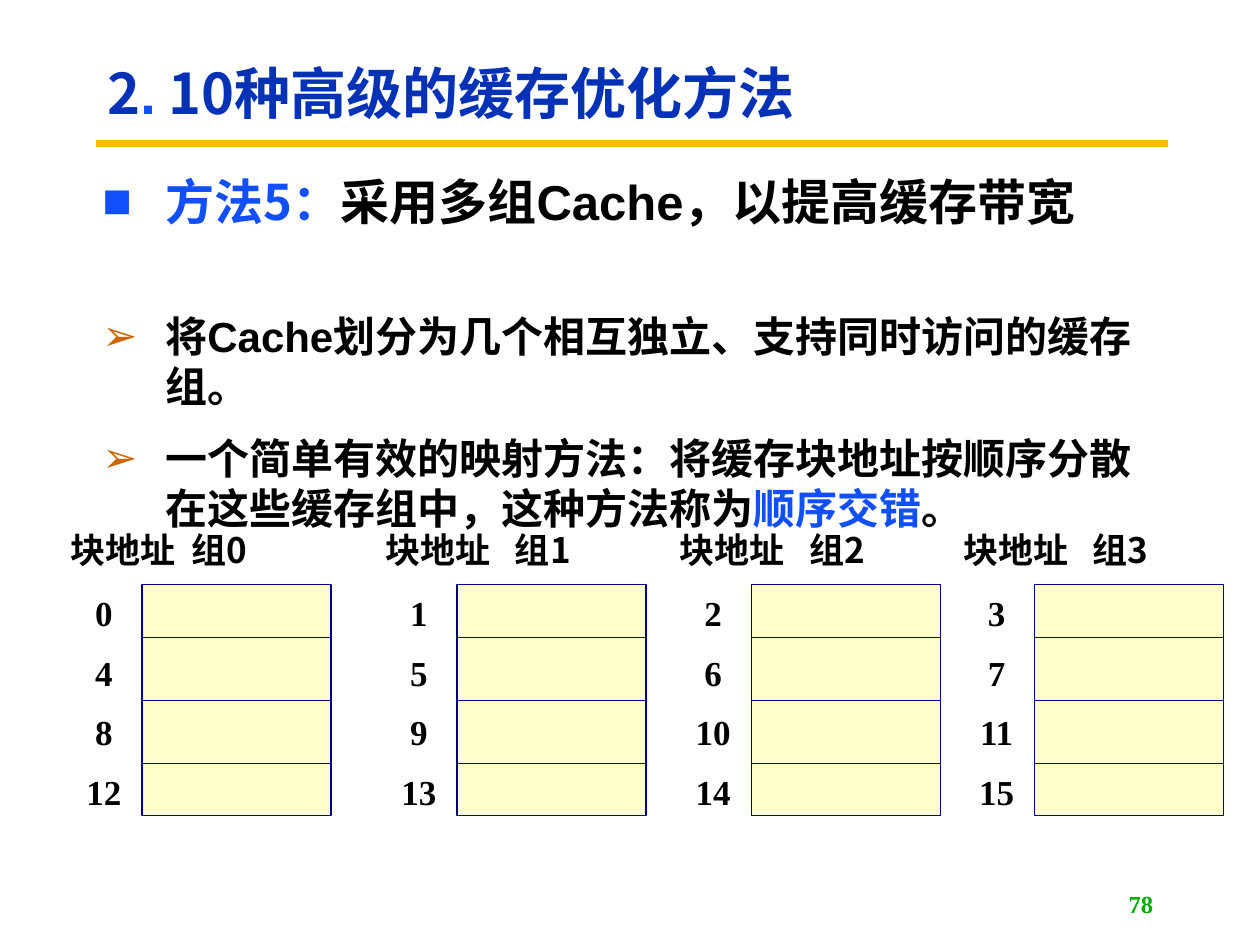
"""Build the slide on interleaved multi-bank caches."""
from typing import NamedTuple

from lxml.etree import SubElement
from pptx import Presentation
from pptx.dml.color import RGBColor
from pptx.enum.shapes import MSO_CONNECTOR as Connector
from pptx.enum.shapes import MSO_SHAPE as Preset
from pptx.enum.text import MSO_ANCHOR as Anchor
from pptx.enum.text import PP_ALIGN as Align
from pptx.oxml.ns import qn
from pptx.util import Pt

CJK, ARIAL, TIMES = "Noto Sans CJK SC", "Arial", "Times New Roman"
BLACK, BLUE, DARK_BLUE = "000000", "114FFB", "0332B7"
NAVY, CREAM, GOLD, ORANGE, GREEN = "000084", "FFFFCC", "FBBA03", "CC6600", "00AE00"
BANK_TOP, BANK_WIDTH, BANK_HEIGHT = 334.2, 108, 131.8
FIRST_ROW, ROW_HEIGHT, ROWS = 30, 36, 4


class Span(NamedTuple):
    text: str
    font: str = CJK
    color: str = BLACK


class Bullet(NamedTuple):
    mark: str
    color: str
    size: float
    space_before: float
    spans: list[Span]


class Bank(NamedTuple):
    number: int
    left: float
    tab: float


BULLETS = [
    Bullet("■", BLUE, 28, 0, [
        Span("方法5：", color=BLUE), Span("采用多组"),
        Span("Cache，", ARIAL), Span("以提高缓存带宽")]),
    Bullet("➢", ORANGE, 24, 46, [
        Span("将"), Span("Cache划分为几个相互独立、支持同时访问的缓存组。", ARIAL)]),
    Bullet("➢", ORANGE, 24, 12, [
        Span("一个简单有效的映射方法：将缓存块地址按顺序分散在这些缓存组中，这种方法称为"),
        Span("顺序交错", color=BLUE), Span("。")]),
]
BANKS = [Bank(0, 81.2, 69.4), Bank(1, 261.2, 74), Bank(2, 429.3, 74), Bank(3, 591.3, 74)]


def rgb(color: str) -> RGBColor:
    """Turn a hex string into a colour."""
    return RGBColor.from_string(color)


def add_text_box(slide, left: float, top: float, width: float, height: float):
    """Add a wrapping text box and return its text frame."""
    text_frame = slide.shapes.add_textbox(Pt(left), Pt(top), Pt(width), Pt(height)).text_frame
    text_frame.word_wrap = True
    return text_frame


def add_span(paragraph, span: Span, size: float) -> None:
    """Append a bold run with its Latin and East Asian fonts."""
    run = paragraph.add_run()
    run.text = span.text
    run.font.size, run.font.bold, run.font.name = Pt(size), True, span.font
    run.font.color.rgb = rgb(span.color)
    SubElement(run.font._element, qn("a:ea"), typeface=CJK)


def add_line(slide, left: float, right: float, y: float, color: str, width: float) -> None:
    """Draw a horizontal line without a shadow."""
    line = slide.shapes.add_connector(Connector.STRAIGHT, Pt(left), Pt(y), Pt(right), Pt(y))
    line.line.color.rgb = rgb(color)
    line.line.width = Pt(width)
    SubElement(line._element.spPr, qn("a:effectLst"))


def add_title(slide) -> None:
    """Write the heading above its gold rule."""
    add_line(slide, 54.7, 667.2, 82, GOLD, 3.75)
    text_frame = add_text_box(slide, 54.2, 26, 574.6, 58.3)
    text_frame.vertical_anchor = Anchor.MIDDLE
    paragraph = text_frame.paragraphs[0]
    paragraph.line_spacing = 0.9
    for span in (Span("2", color=DARK_BLUE), Span(".", ARIAL, BLUE),
                 Span(" 10种高级的缓存优化方法", color=DARK_BLUE)):
        add_span(paragraph, span, 32)


def add_bullets(slide, bullets: list[Bullet]) -> None:
    """Write the bulleted body text."""
    text_frame = add_text_box(slide, 51.4, 94.3, 609.8, 197.3)
    for index, bullet in enumerate(bullets):
        paragraph = text_frame.add_paragraph() if index else text_frame.paragraphs[0]
        paragraph.space_before = Pt(bullet.space_before)
        properties = paragraph._p.get_or_add_pPr()
        properties.set("marL", str(Pt(36)))
        properties.set("indent", str(-Pt(36)))
        SubElement(SubElement(properties, qn("a:buClr")), qn("a:srgbClr"), val=bullet.color)
        SubElement(properties, qn("a:buFont"), typeface=ARIAL)
        SubElement(properties, qn("a:buChar"), char=bullet.mark)
        for span in bullet.spans:
            add_span(paragraph, span, bullet.size)


def add_bank(slide, bank: Bank) -> None:
    """Draw one cache bank with its heading and block addresses."""
    block = slide.shapes.add_shape(
        Preset.RECTANGLE, Pt(bank.left), Pt(BANK_TOP), Pt(BANK_WIDTH), Pt(BANK_HEIGHT))
    block.shadow.inherit = False
    block.fill.solid()
    block.fill.fore_color.rgb = rgb(CREAM)
    block.line.color.rgb = rgb(NAVY)
    block.line.width = Pt(0.75)
    for row in range(ROWS - 1):
        y = BANK_TOP + FIRST_ROW + row * ROW_HEIGHT
        add_line(slide, bank.left, bank.left + BANK_WIDTH, y, NAVY, 0.75)

    addresses = add_text_box(slide, bank.left - 38.6, 337.2, 48, 131)
    addresses.margin_left, addresses.margin_right = Pt(0), Pt(14.4)
    for row in range(ROWS):
        paragraph = addresses.add_paragraph() if row else addresses.paragraphs[0]
        paragraph.alignment = Align.CENTER
        paragraph.line_spacing = 0.9
        paragraph.space_before = Pt(12.5 if row else 0)
        add_span(paragraph, Span(str(bank.number + row * len(BANKS)), TIMES), 20)

    heading = add_text_box(slide, bank.left - 48, 298.3, 150, 31.7).paragraphs[0]
    tabs = SubElement(heading._p.get_or_add_pPr(), qn("a:tabLst"))
    SubElement(tabs, qn("a:tab"), pos=str(Pt(bank.tab)), algn="l")
    add_span(heading, Span(f"块地址\t组{bank.number}"), 20)


def add_page_number(slide) -> None:
    """Write the page number at the lower right."""
    text_frame = add_text_box(slide, 516.2, 504.7, 149.8, 23)
    text_frame.vertical_anchor = Anchor.MIDDLE
    paragraph = text_frame.paragraphs[0]
    paragraph.alignment = Align.RIGHT
    add_span(paragraph, Span("78", TIMES, GREEN), 14)


def main() -> None:
    """Assemble and save the presentation."""
    presentation = Presentation()
    presentation.slide_width, presentation.slide_height = Pt(720), Pt(540)
    slide = presentation.slides.add_slide(presentation.slide_layouts[6])
    add_title(slide)
    add_page_number(slide)
    add_bullets(slide, BULLETS)
    for bank in BANKS:
        add_bank(slide, bank)
    presentation.save("out.pptx")


if __name__ == "__main__":
    main()
